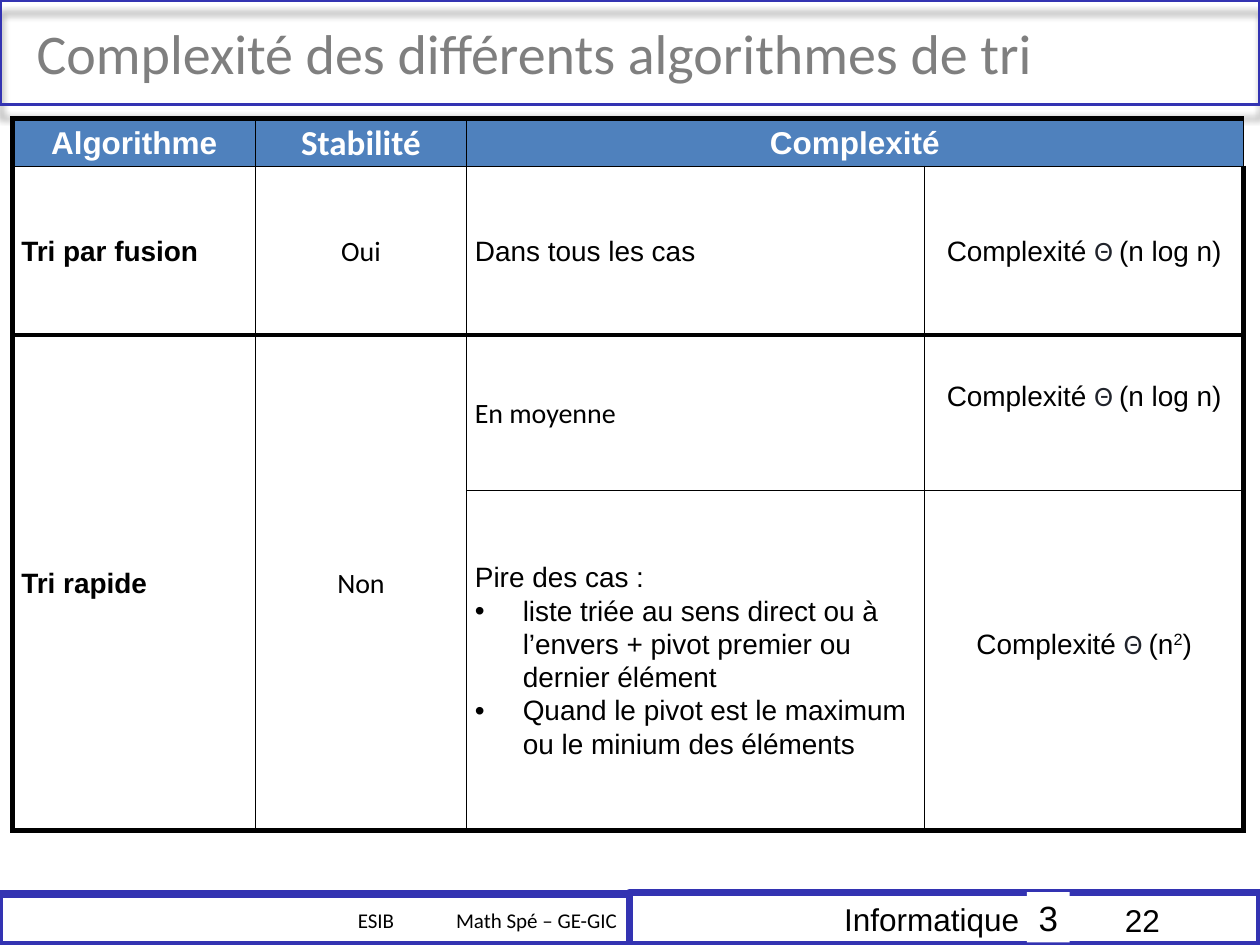
from lxml.etree import SubElement
from pptx import Presentation
from pptx.dml.color import RGBColor
from pptx.enum.shapes import MSO_SHAPE as Shape
from pptx.enum.text import MSO_ANCHOR as Anchor, PP_ALIGN as Align
from pptx.oxml.ns import qn
from pptx.util import Inches, Pt

COLORS = {"border": "3333B2", "title": "7F7F7F", "header": "4F81BD",
          "theta": "21242C", "text": "000000", "white": "FFFFFF"}
LEFT, CENTER, RIGHT = Align.LEFT, Align.CENTER, Align.RIGHT
THICK, MEDIUM, THIN = 3, 1, 0.5


def color(name):
    return RGBColor.from_string(COLORS[name])


def style(font, size, name="Arial", tint="text", bold=False):
    font.size, font.name, font.bold = Pt(size), name, bold
    font.color.rgb = color(tint)


def add_box(slide, left, top, width, height, line=None, fill=None):
    shape = slide.shapes.add_shape(Shape.RECTANGLE, Inches(left), Inches(top),
                                   Inches(width), Inches(height))
    shape.shadow.inherit = False
    if fill:
        shape.fill.solid()
        shape.fill.fore_color.rgb = color(fill)
    else:
        shape.fill.background()
    if line:
        shape.line.color.rgb = color("border")
        shape.line.width = Pt(line)
    else:
        shape.line.fill.background()
    return shape


def write(shape, text, size, name="Arial", tint="text", align=LEFT,
          margins=(0.1, 0.1), anchor=Anchor.MIDDLE):
    frame = shape.text_frame
    frame.word_wrap = True
    frame.vertical_anchor = anchor
    frame.margin_left, frame.margin_right = map(Inches, margins)
    paragraph = frame.paragraphs[0]
    paragraph.text = text
    paragraph.alignment = align
    style(paragraph.font, size, name, tint)
    return paragraph


def add_title(slide, left, top, width, height):
    # Framed band with a soft shadow
    band = add_box(slide, left, top, width, height, line=2)
    effects = band._element.spPr.find(qn("a:effectLst"))
    shadow = SubElement(effects, qn("a:outerShdw"), blurRad=str(Pt(4)),
                        dist=str(Pt(7)), dir="5400000", rotWithShape="0")
    tint = SubElement(shadow, qn("a:srgbClr"), val=COLORS["text"])
    SubElement(tint, qn("a:alpha"), val="40000")
    # Title text
    title = slide.shapes.add_textbox(Inches(left), Inches(top),
                                     Inches(width - 0.25), Inches(height))
    write(title, "Complexité des différents algorithmes de tri", 32, "Calibri",
          "title", margins=(0.29, 0.1))


def add_footer(slide, left, top, width, height):
    half = width / 2
    # Course name
    course = add_box(slide, left + half, top, half, height, line=4)
    write(course, "Informatique", 18, align=RIGHT, margins=(0.1, 1.91))
    # School and class, spaced by a tab stop
    school = add_box(slide, left, top + 0.02, half, height - 0.02, line=4)
    paragraph = write(school, "ESIB\tMath Spé – GE-GIC", 12, "Calibri",
                      margins=(2.84, 0))
    tabs = SubElement(paragraph._p.get_or_add_pPr(), qn("a:tabLst"))
    SubElement(tabs, qn("a:tab"), pos=str(Inches(0.78)), algn="l")
    add_box(slide, left, top, half, height, line=2.75)
    # Chapter and slide numbers
    chapter = add_box(slide, left + 8.15, top, 0.34, height - 0.02, fill="white")
    write(chapter, "3", 20, align=CENTER, margins=(0, 0))
    number = slide.shapes.add_textbox(Inches(left + 8.83), Inches(top + 0.02),
                                      Inches(1.17), Inches(height - 0.02))
    write(number, "22", 18, anchor=Anchor.TOP)


def set_borders(cell, widths):
    properties = cell._tc.get_or_add_tcPr()
    for index, (side, width) in enumerate(zip("LRTB", widths)):
        line = properties.makeelement(qn(f"a:ln{side}"), {"w": str(Pt(width))})
        fill = SubElement(line, qn("a:solidFill"))
        SubElement(fill, qn("a:srgbClr"), val=COLORS["text"])
        properties.insert(index, line)


def add_bullet(paragraph):
    properties = paragraph._p.get_or_add_pPr()
    properties.set("marL", str(Inches(0.38)))
    properties.set("indent", str(-Inches(0.38)))
    SubElement(properties, qn("a:buFont"), typeface="Arial")
    SubElement(properties, qn("a:buChar"), char="•")


def fill_cell(cell, lines, size=16, name="Arial", tint="text", bold=False,
              align=LEFT):
    frame = cell.text_frame
    for index, text in enumerate(lines):
        paragraph = frame.add_paragraph() if index else frame.paragraphs[0]
        paragraph.text = text
        paragraph.alignment = align
        paragraph.line_spacing = 1.07
        style(paragraph.font, size, name, tint, bold)
        if index:
            add_bullet(paragraph)


def fill_complexity(cell, order, exponent="", raised=0):
    paragraph = cell.text_frame.paragraphs[0]
    paragraph.alignment = CENTER
    paragraph.line_spacing = 1.07
    cell.margin_bottom = Inches(raised)
    parts = [("Complexité ", "Arial", "text"), ("Θ ", "Calibri", "theta"),
             (f"({order}", "Arial", "text"), (exponent, "Arial", "text"),
             (")", "Arial", "text")]
    for text, name, tint in parts:
        if text:
            run = paragraph.add_run()
            run.text = text
            style(run.font, 16, name, tint)
            if text == exponent:
                run.font._element.set("baseline", "30000")


def add_comparison(slide, left, top, widths, heights):
    frame = slide.shapes.add_table(
        len(heights), len(widths), Inches(left), Inches(top),
        Inches(sum(widths)), Inches(sum(heights)))
    table = frame.table
    for column, width in zip(table.columns, widths):
        column.width = Inches(width)
    for row, height in zip(table.rows, heights):
        row.height = Inches(height)

    # Cell fills, margins and borders
    rules = [THICK, MEDIUM, THICK, THIN, THICK]
    last = len(widths) - 1
    for i in range(len(heights)):
        for j in range(len(widths)):
            cell = table.cell(i, j)
            cell.fill.solid()
            cell.fill.fore_color.rgb = color("white" if i else "header")
            cell.vertical_anchor = Anchor.MIDDLE
            cell.margin_left = cell.margin_right = Inches(0.07)
            cell.margin_top = cell.margin_bottom = 0
            bottom = THICK if i == 2 and j < 2 else rules[i + 1]
            set_borders(cell, (THIN if j else THICK,
                               THICK if j == last else THIN, rules[i], bottom))
    table.cell(0, 2).merge(table.cell(0, 3))
    for j in range(2):
        table.cell(2, j).merge(table.cell(3, j))

    # Header
    headers = [("Algorithme", 18, "Arial"), ("Stabilité", 20, "Calibri"),
               ("Complexité", 18, "Arial")]
    for j, (text, size, name) in enumerate(headers):
        fill_cell(table.cell(0, j), [text], size, name, "white", True, CENTER)
    # Algorithms and stability
    for i, algorithm, stable in [(1, "Tri par fusion", "Oui"),
                                 (2, "Tri rapide", "Non")]:
        fill_cell(table.cell(i, 0), [algorithm], bold=True)
        fill_cell(table.cell(i, 1), [stable], name="Calibri", align=CENTER)
    # Cases and their complexity
    fill_cell(table.cell(1, 2), ["Dans tous les cas"])
    fill_cell(table.cell(2, 2), ["En moyenne"], name="Calibri")
    fill_cell(table.cell(3, 2), [
        "Pire des cas :",
        "liste triée au sens direct ou à l’envers + pivot premier ou dernier élément",
        "Quand le pivot est le maximum ou le minium des éléments"])
    fill_complexity(table.cell(1, 3), "n log n")
    fill_complexity(table.cell(2, 3), "n log n", raised=0.27)
    fill_complexity(table.cell(3, 3), "n", exponent="2", raised=0.27)


def main():
    presentation = Presentation()
    presentation.slide_width, presentation.slide_height = Inches(10), Inches(7.5)
    slide = presentation.slides.add_slide(presentation.slide_layouts[6])
    add_footer(slide, 0, 7.08, 10, 0.42)
    add_title(slide, 0, 0, 10, 0.83)
    add_comparison(slide, 0.1, 0.94, [1.93, 1.67, 3.64, 2.53],
                   [0.38, 1.34, 1.23, 2.7])
    presentation.save("out.pptx")


if __name__ == "__main__":
    main()
